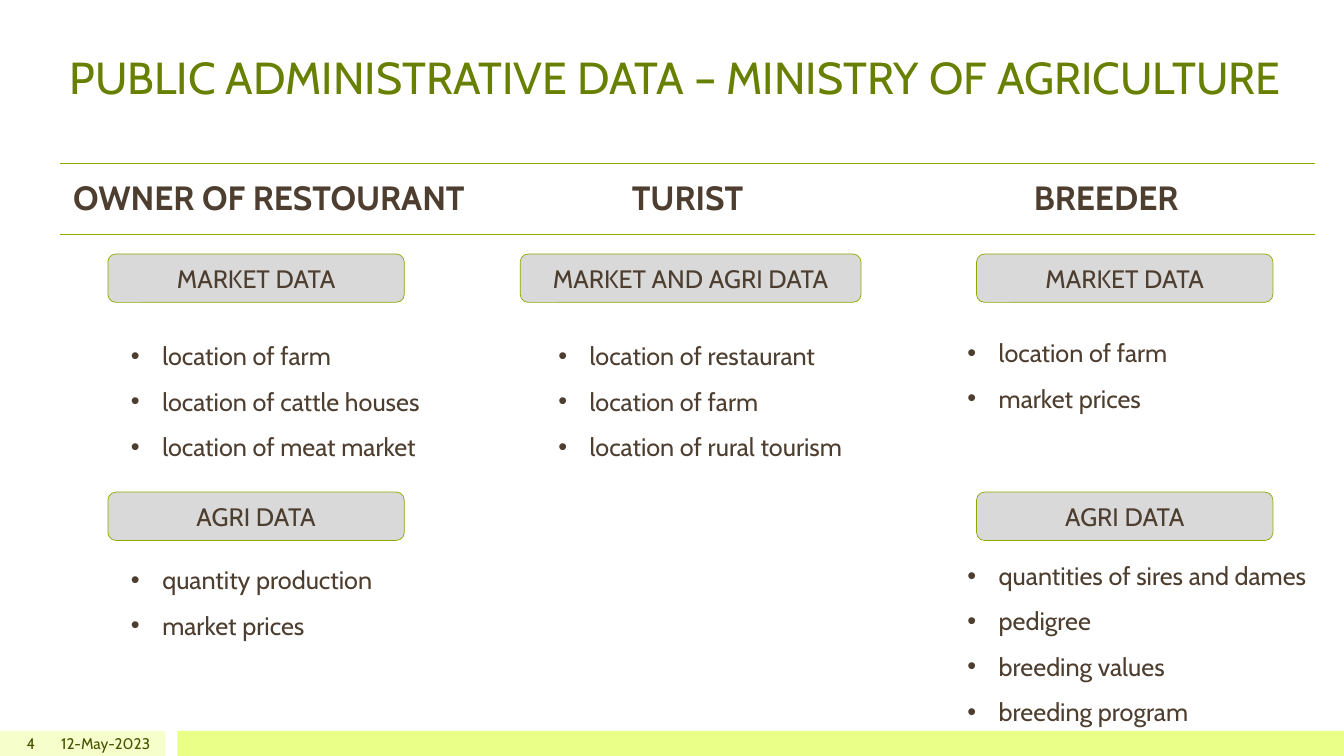
from lxml import etree
from pptx import Presentation
from pptx.dml import color
from pptx.enum import shapes, text
from pptx.oxml import ns
from pptx.util import Cm, Pt

FONT = "Cabin"
BROWN, OLIVE, GREEN, DARK = "4D3E2F", "688000", "8BAA00", "455500"
GREY, PALE, LIME = "D9D9D9", "F6FFCC", "E9FF88"
LEFT, CENTER, RIGHT = text.PP_ALIGN.LEFT, text.PP_ALIGN.CENTER, text.PP_ALIGN.RIGHT
TOP, MIDDLE = text.MSO_ANCHOR.TOP, text.MSO_ANCHOR.MIDDLE
RECT, ROUND = shapes.MSO_SHAPE.RECTANGLE, shapes.MSO_SHAPE.ROUNDED_RECTANGLE

HEADINGS = ["OWNER OF RESTOURANT", "TURIST", "BREEDER"]
LABELS = [
    ("MARKET DATA", 2.72, 6.4, 7.47),
    ("AGRI DATA", 2.72, 12.4, 7.47),
    ("MARKET AND AGRI DATA", 13.11, 6.4, 8.59),
    ("MARKET DATA", 24.61, 6.4, 7.47),
    ("AGRI DATA", 24.61, 12.4, 7.47),
]
LISTS = [
    (3.05, 8.08, 7.92, ["location of farm", "location of cattle houses",
                        "location of meat market"]),
    (3.05, 13.72, 9.17, ["quantity production", "market prices"]),
    (13.82, 8.08, 7.92, ["location of restaurant", "location of farm",
                         "location of rural tourism"]),
    (24.13, 8, 9.17, ["location of farm", "market prices"]),
    (24.13, 13.61, 10.08, ["quantities of sires and dames", "pedigree",
                           "breeding values", "breeding program"]),
]


def rgb(value):
    """Return the colour for a hex string."""
    return color.RGBColor.from_string(value)


def write(p, words, size=18, fill=BROWN, bold=False, align=LEFT):
    """Write formatted words into a paragraph."""
    p.alignment = align
    r = p.add_run()
    r.text = words
    r.font.name, r.font.size, r.font.bold = FONT, Pt(size), bold
    r.font.color.rgb = rgb(fill)


def add_box(slide, kind, x, y, w, h, fill, line=None):
    """Add a filled preset shape, outlined if a line colour is given."""
    sp = slide.shapes.add_shape(kind, Cm(x), Cm(y), Cm(w), Cm(h))
    sp.shadow.inherit = False
    sp.fill.solid()
    sp.fill.fore_color.rgb = rgb(fill)
    if line:
        sp.line.color.rgb = rgb(line)
        sp.line.width = Pt(0.5)
    else:
        sp.line.fill.background()
    return sp


def add_label(slide, words, x, y, w):
    """Add a rounded label with centred words."""
    sp = add_box(slide, ROUND, x, y, w, 1.22, GREY, GREEN)
    tf = sp.text_frame
    tf.vertical_anchor = MIDDLE
    write(tf.paragraphs[0], words, align=CENTER)


def add_frame(slide, x, y, w, h, anchor=TOP):
    """Add a wrapping text box and return its text frame."""
    tf = slide.shapes.add_textbox(Cm(x), Cm(y), Cm(w), Cm(h)).text_frame
    tf.word_wrap = True
    tf.vertical_anchor = anchor
    return tf


def add_bullets(slide, x, y, w, items):
    """Add a bulleted list with wide line spacing."""
    tf = add_frame(slide, x, y, w, 0.25 + 1.15 * len(items))
    for i, item in enumerate(items):
        p = tf.add_paragraph() if i else tf.paragraphs[0]
        write(p, item)
        p.line_spacing = 1.5
        pPr = p._p.get_or_add_pPr()
        pPr.set("marL", str(Cm(0.79)))
        pPr.set("indent", str(-Cm(0.79)))
        etree.SubElement(pPr, ns.qn("a:buFont"), typeface="Arial")
        etree.SubElement(pPr, ns.qn("a:buChar"), char="•")


def set_borders(cell):
    """Give a cell top and bottom lines only."""
    tcPr = cell._tc.get_or_add_tcPr()
    for i, side in enumerate("LRTB"):
        ln = etree.Element(ns.qn(f"a:ln{side}"), w=str(Pt(1)))
        tcPr.insert(i, ln)
        if side in "LR":
            etree.SubElement(ln, ns.qn("a:noFill"))
        else:
            fill = etree.SubElement(ln, ns.qn("a:solidFill"))
            etree.SubElement(fill, ns.qn("a:srgbClr"), val=GREEN)


def add_headings(slide):
    """Add the one-row table of column headings."""
    table = slide.shapes.add_table(1, len(HEADINGS), Cm(1.5), Cm(4.11),
                                   Cm(31.65), Cm(1.8)).table
    table.first_row = table.horz_banding = False
    for cell, words in zip(table.rows[0].cells, HEADINGS):
        cell.fill.background()
        cell.vertical_anchor = MIDDLE
        write(cell.text_frame.paragraphs[0], words, size=24, bold=True, align=CENTER)
        set_borders(cell)


def main():
    """Build and save the slide."""
    prs = Presentation()
    prs.slide_width, prs.slide_height = Cm(33.87), Cm(19.05)
    slide = prs.slides.add_slide(prs.slide_layouts[6])
    for x, w, fill in [(0, 4.17, PALE), (4.47, 29.4, LIME)]:
        add_box(slide, RECT, x, 18.42, w, 0.63, fill)
    for words, x, w in [("4", 0, 1.14), ("12-May-2023", 1.27, 2.77)]:
        tf = add_frame(slide, x, 18.42, w, 0.63, MIDDLE)
        write(tf.paragraphs[0], words, size=11, fill=DARK, align=RIGHT)
    tf = add_frame(slide, 1.5, 1.12, 33.99, 2.31)
    write(tf.paragraphs[0], "PUBLIC ADMINISTRATIVE DATA – MINISTRY OF AGRICULTURE",
          size=32, fill=OLIVE)
    add_headings(slide)
    for label in LABELS:
        add_label(slide, *label)
    for bullets in LISTS:
        add_bullets(slide, *bullets)
    prs.save("out.pptx")


if __name__ == "__main__":
    main()
